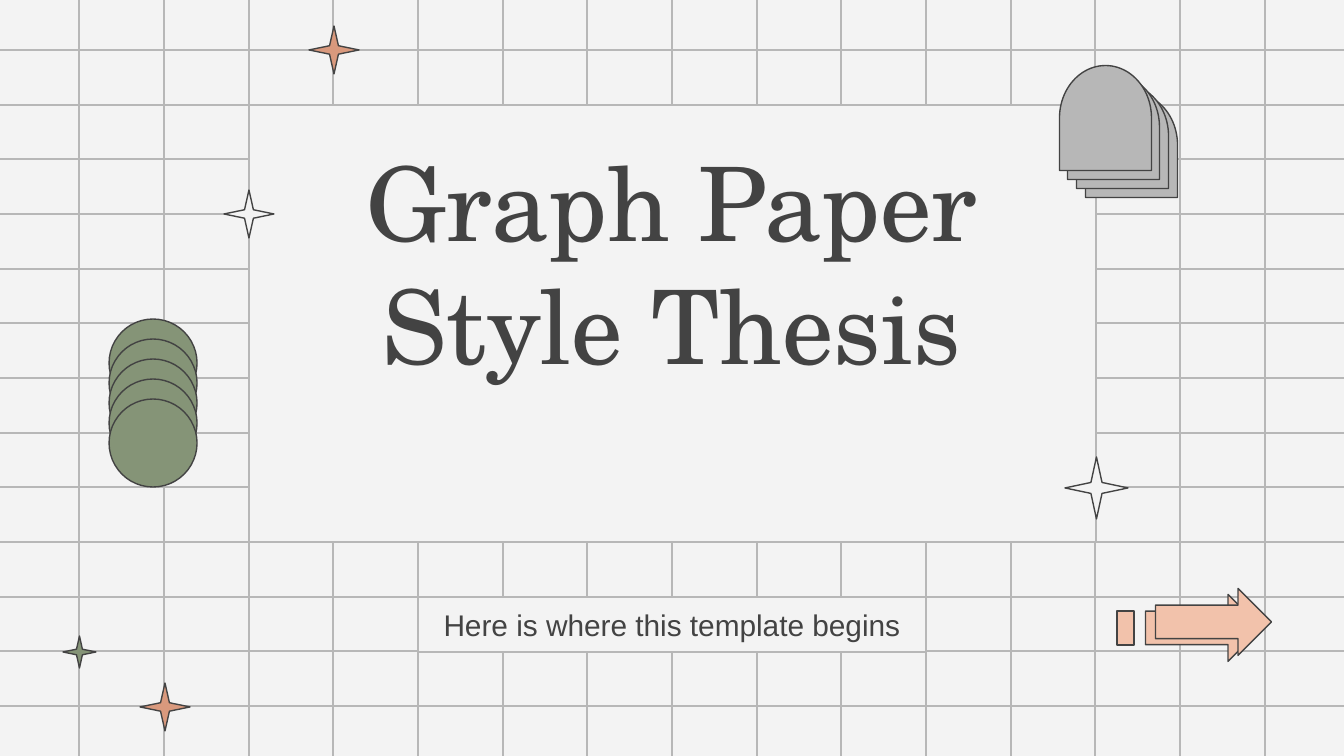
"""Build the title slide of a graph paper style thesis deck."""
from itertools import product

from pptx import Presentation
from pptx import util as u
from pptx.dml.color import RGBColor
from pptx.enum import shapes, text
from pptx.oxml.ns import qn
from lxml import etree

PX = u.Inches(10) / 1344
COLORS = {
    "paper": "F3F3F3",
    "grid": "B7B7B7",
    "ink": "434343",
    "clay": "D9997D",
    "sage": "859477",
    "peach": "F2C2AB",
}
SHAPE = shapes.MSO_SHAPE


def emu(*lengths):
    return [round(n * PX) for n in lengths]


def draw(parent, kind, box, fill, line="ink", rotation=0):
    sp = parent.shapes.add_shape(kind, *emu(*box))
    sp.shadow.inherit = False
    sp.rotation = rotation
    sp.fill.solid()
    sp.fill.fore_color.rgb = RGBColor.from_string(COLORS[fill])
    sp.line.color.rgb = RGBColor.from_string(COLORS[line])
    sp.line.width = u.Pt(0.75)
    if kind == SHAPE.STAR_4_POINT:
        sp.adjustments[0] = 0.125
    return sp


prs = Presentation()
prs.slide_width, prs.slide_height = emu(1344, 756)
s = prs.slides.add_slide(prs.slide_layouts[0])
s.background.fill.solid()
s.background.fill.fore_color.rgb = RGBColor.from_string(COLORS["paper"])

x_halves = [(-5, 672), (672, 1349)]
y_halves = [(-4, 378), (378, 761)]
columns = [round(672 + 84.67 * i) for i in range(-7, 8)]
rows = [round(378 + 54.67 * i) for i in range(-6, 7)]
segments = [(x, top, x, bottom) for (top, bottom), x in product(y_halves, columns)]
segments += [(left, y, right, y) for (left, right), y in product(x_halves, rows)]
grid = s.shapes.add_group_shape()
for segment in segments:
    line = grid.shapes.add_connector(shapes.MSO_CONNECTOR.STRAIGHT, *emu(*segment))
    line.line.color.rgb = RGBColor.from_string(COLORS["grid"])
    line.line.width = u.Pt(0.75)
    etree.SubElement(line.element.spPr, qn("a:effectLst"))

for box, fill in [((140, 683, 50, 48), "clay"), ((63, 636, 33, 32), "sage")]:
    draw(s, SHAPE.STAR_4_POINT, box, fill)

draw(s, SHAPE.RECTANGLE, (249, 105, 847, 437), "paper", "grid")

subtitle, title = s.placeholders[1], s.shapes.title
subtitle.fill.solid()
subtitle.fill.fore_color.rgb = RGBColor.from_string(COLORS["paper"])
subtitle.line.color.rgb = RGBColor.from_string(COLORS["grid"])
subtitle.line.width = u.Pt(0.75)
for sp, box, words, font, size in [
    (subtitle, (418, 597, 508, 55), "Here is where this template begins", "Arial", 16),
    (title, (250, 153, 844, 218), "Graph Paper Style Thesis", "TeX Gyre Schola", 55),
]:
    s.shapes.element.append(sp.element)
    sp.left, sp.top, sp.width, sp.height = emu(*box)
    tf = sp.text_frame
    tf.text = words
    tf.word_wrap = True
    tf.auto_size = text.MSO_AUTO_SIZE.NONE
    tf.vertical_anchor = text.MSO_ANCHOR.MIDDLE
    tf.margin_left = tf.margin_right = tf.margin_top = tf.margin_bottom = u.Inches(0.1)
    p = tf.paragraphs[0]
    p.alignment = text.PP_ALIGN.CENTER
    p.space_before = u.Pt(0)
    r = p.runs[0]
    r.font.name = font
    r.font.size = u.Pt(size)
    r.font.color.rgb = RGBColor.from_string(COLORS["ink"])

arrows = s.shapes.add_group_shape()
draw(arrows, SHAPE.UP_ARROW, (1170, 570, 67, 116), "peach", rotation=90)
draw(arrows, SHAPE.RECTANGLE, (1117, 611, 17, 34), "peach")
draw(arrows, SHAPE.UP_ARROW, (1180, 564, 67, 116), "peach", rotation=90)

for box, fill in [
    ((309, 26, 50, 48), "clay"),
    ((224, 190, 50, 48), "paper"),
    ((1065, 457, 63, 62), "paper"),
]:
    draw(s, SHAPE.STAR_4_POINT, box, fill)

circles = s.shapes.add_group_shape()
for i in range(5):
    draw(circles, SHAPE.OVAL, (109, 319 + 20 * i, 88, 88), "sage", rotation=90)

arches = s.shapes.add_group_shape()
for i in reversed(range(4)):
    box = (1053 + 26 * i // 3, 72 + 9 * i, 105, 92)
    draw(arches, SHAPE.FLOWCHART_DELAY, box, "grid", rotation=270)

prs.save("out.pptx")
